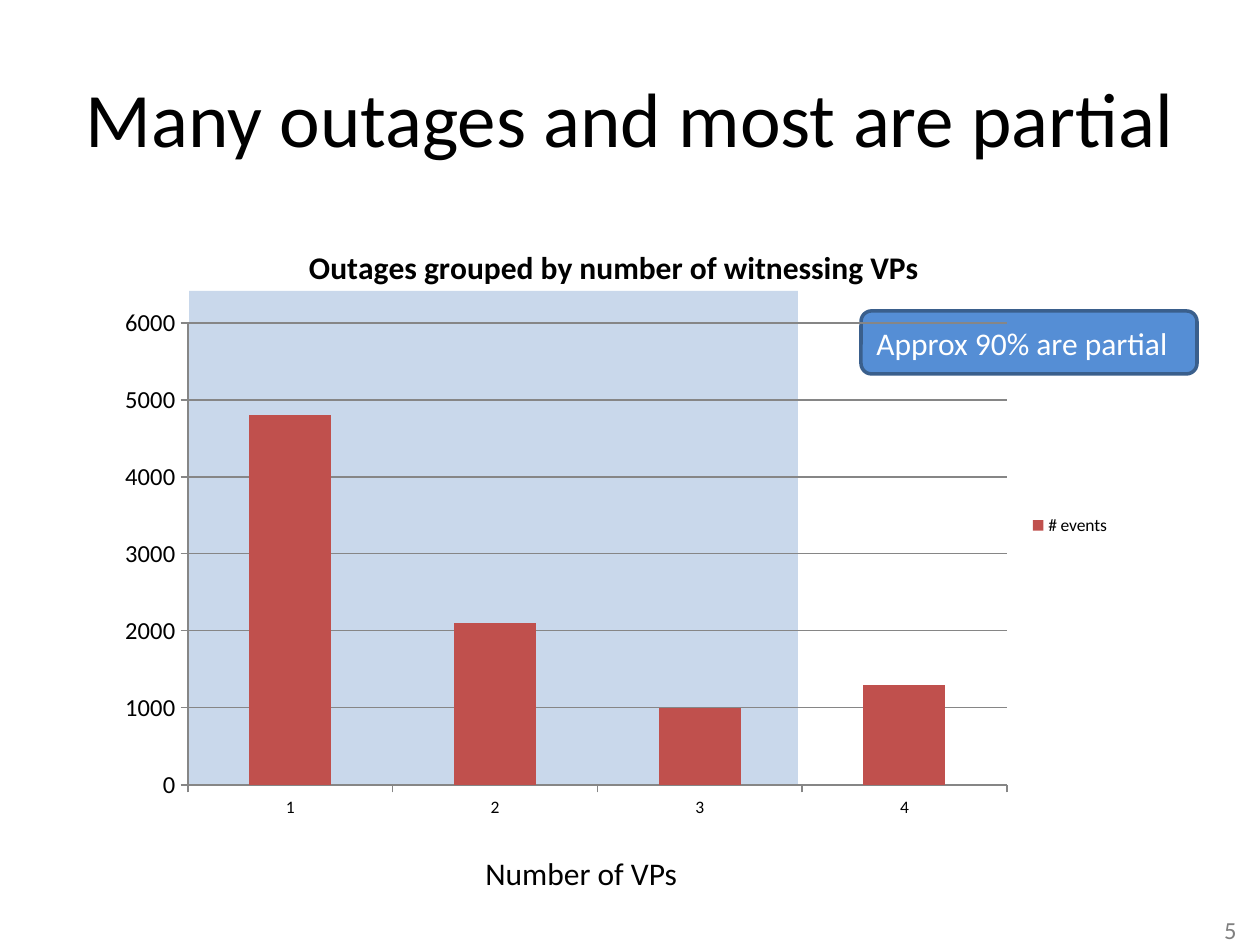
from lxml.etree import SubElement
from pptx import Presentation
from pptx.chart.data import CategoryChartData
from pptx.dml.color import RGBColor
from pptx.enum.chart import XL_CHART_TYPE as ChartType, XL_LEGEND_POSITION as LegendPosition, XL_TICK_MARK as TickMark
from pptx.enum.shapes import MSO_SHAPE as Preset
from pptx.enum.text import MSO_ANCHOR as Anchor, PP_ALIGN as Align
from pptx.oxml import parse_xml
from pptx.oxml.ns import nsdecls, qn
from pptx.util import Pt

BLACK = RGBColor(0x00, 0x00, 0x00)
WHITE = RGBColor(0xFF, 0xFF, 0xFF)
GREY = RGBColor(0x80, 0x80, 0x80)
AXIS_GREY = RGBColor(0x86, 0x86, 0x86)
BAND_BLUE = RGBColor(0x4F, 0x81, 0xBD)
CALLOUT_BLUE = RGBColor(0x55, 0x8E, 0xD5)
CALLOUT_EDGE = RGBColor(0x3A, 0x5F, 0x8C)
BAR_RED = RGBColor(0xC0, 0x50, 0x4D)

FONT = "Calibri"
SCALE = 914400 / 126
SLIDE_SIZE = (1260, 945)

TITLE = ("Many outages and most are partial", (63, 38, 1134, 158), 44, BLACK, Align.CENTER)
AXIS_LABEL = ("Number of VPs", (473, 848, 219, 50), 18, BLACK, Align.LEFT)
PAGE_NUMBER = ("5", (955, 905, 294, 50), 14, GREY, Align.RIGHT)
CALLOUT = ("Approx 90% are partial", (861, 311, 336, 63), 18, WHITE, Align.LEFT)
BAND_BOX = (189, 291, 609, 494)
BAND_OPACITY = 30

CHART_TITLE = "Outages grouped by number of witnessing VPs"
CHART_BOX = (105, 221, 1018, 609)
PLOT_BOX = (188, 323, 819, 462)
SERIES_NAME = "# events"
EVENTS = {"1": 4800, "2": 2100, "3": 1000, "4": 1300}


def emu(box):
    return [round(length * SCALE) for length in box]


def set_format(target, **values):
    for name, value in values.items():
        setattr(target, name, value)


def write(shape, text, size, color, align):
    set_format(shape.text_frame, word_wrap=True, vertical_anchor=Anchor.MIDDLE)
    paragraph = shape.text_frame.paragraphs[0]
    paragraph.text = text
    paragraph.alignment = align
    set_format(paragraph.font, name=FONT, size=Pt(size))
    paragraph.font.color.rgb = color


def add_text(slide, text, box, *style):
    write(slide.shapes.add_textbox(*emu(box)), text, *style)


def add_filled(slide, preset, box, color):
    shape = slide.shapes.add_shape(preset, *emu(box))
    shape.shadow.inherit = False
    shape.fill.solid()
    shape.fill.fore_color.rgb = color
    shape.line.fill.background()
    return shape


def add_band(slide):
    band = add_filled(slide, Preset.RECTANGLE, BAND_BOX, BAND_BLUE)
    color = band.fill._xPr.find(qn("a:solidFill"))[0]
    SubElement(color, qn("a:alpha"), val=str(BAND_OPACITY * 1000))


def add_callout(slide):
    text, box, *style = CALLOUT
    callout = add_filled(slide, Preset.ROUNDED_RECTANGLE, box, CALLOUT_BLUE)
    callout.line.color.rgb = CALLOUT_EDGE
    callout.line.width = Pt(2)
    write(callout, text, *style)


def place_plot(chart):
    left, top, width, height = CHART_BOX
    plot_left, plot_top, plot_width, plot_height = PLOT_BOX
    fractions = {
        "x": (plot_left - left) / width,
        "y": (plot_top - top) / height,
        "w": plot_width / width,
        "h": plot_height / height,
    }
    modes = '<c:layoutTarget val="inner"/><c:xMode val="edge"/><c:yMode val="edge"/>'
    values = "".join(f'<c:{name} val="{value:.4f}"/>' for name, value in fractions.items())
    layout = parse_xml(
        f'<c:layout {nsdecls("c")}><c:manualLayout>{modes}{values}</c:manualLayout></c:layout>'
    )
    plot_area = chart._chartSpace.chart.plotArea
    for old in plot_area.findall(qn("c:layout")):
        plot_area.remove(old)
    plot_area.insert(0, layout)


def add_events_chart(slide):
    data = CategoryChartData()
    data.categories = list(EVENTS)
    data.add_series(SERIES_NAME, list(EVENTS.values()))
    chart = slide.shapes.add_chart(ChartType.COLUMN_CLUSTERED, *emu(CHART_BOX), data).chart
    set_format(chart.font, name=FONT, size=Pt(10))
    chart.font.color.rgb = BLACK

    chart.has_title = True
    paragraph = chart.chart_title.text_frame.paragraphs[0]
    paragraph.text = CHART_TITLE
    set_format(paragraph.font, name=FONT, size=Pt(18), bold=True)
    paragraph.font.color.rgb = BLACK

    chart.has_legend = True
    set_format(chart.legend, position=LegendPosition.RIGHT, include_in_layout=False)

    plot = chart.plots[0]
    set_format(plot, gap_width=150, vary_by_categories=False)
    series = plot.series[0]
    series.format.fill.solid()
    series.format.fill.fore_color.rgb = BAR_RED

    value_axis = chart.value_axis
    set_format(value_axis, minimum_scale=0, maximum_scale=6000, major_unit=1000, has_major_gridlines=True)
    value_axis.tick_labels.font.size = Pt(14)
    for axis in (chart.category_axis, value_axis):
        axis.major_tick_mark = TickMark.OUTSIDE
    for lined in (chart.category_axis, value_axis, value_axis.major_gridlines):
        lined.format.line.color.rgb = AXIS_GREY
        lined.format.line.width = Pt(0.75)
    place_plot(chart)


def main():
    presentation = Presentation()
    presentation.slide_width, presentation.slide_height = emu(SLIDE_SIZE)
    slide = presentation.slides.add_slide(presentation.slide_layouts[6])
    add_text(slide, *PAGE_NUMBER)
    add_band(slide)
    add_text(slide, *TITLE)
    add_text(slide, *AXIS_LABEL)
    add_callout(slide)
    add_events_chart(slide)
    presentation.save("out.pptx")


if __name__ == "__main__":
    main()
